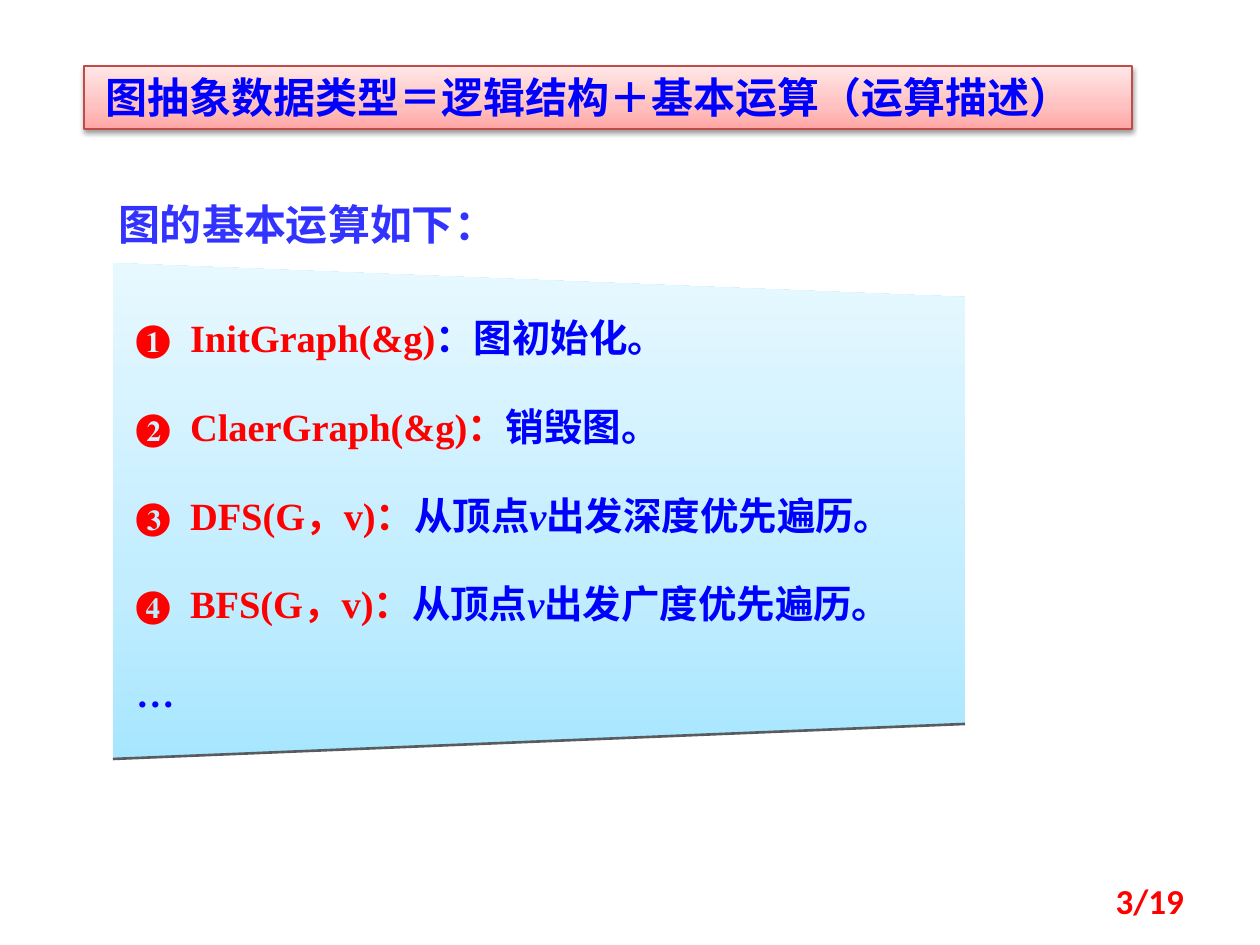
"""Build the slide on the basic operations of the graph abstract data type."""
from dataclasses import dataclass

from lxml import etree
from pptx import Presentation
from pptx.dml.color import RGBColor
from pptx.enum.shapes import MSO_CONNECTOR, MSO_SHAPE
from pptx.enum.text import MSO_ANCHOR, PP_ALIGN
from pptx.oxml.ns import qn
from pptx.util import Emu, Pt

RECT = MSO_SHAPE.RECTANGLE
STRAIGHT = MSO_CONNECTOR.STRAIGHT
TOP, MIDDLE = MSO_ANCHOR.TOP, MSO_ANCHOR.MIDDLE
LEFT, RIGHT = PP_ALIGN.LEFT, PP_ALIGN.RIGHT
PX = 914400 / 126


@dataclass(frozen=True)
class Theme:
    blue: str = "0000FF"
    heading: str = "3333FF"
    red: str = "FF0000"
    border: str = "BF4C48"
    edge: str = "595C5E"
    shadow: str = "000000"
    pink: tuple = ((0, "FFA6A5"), (35, "FFC0BF"), (100, "FFE7E7"))
    sky: tuple = ((0, "A7E6FF"), (35, "C1EDFF"), (100, "E7F8FF"))
    serif: str = "Times New Roman"
    cjk: str = "Noto Sans CJK SC"
    sans: str = "Calibri"
    title_pt: int = 24
    body_pt: int = 22
    page_pt: int = 20


T = Theme()
TITLE = "图抽象数据类型＝逻辑结构＋基本运算（运算描述）"
HEADING = "图的基本运算如下："
PAGE = "3/19"
RED, BLUE = {"color": T.red}, {"color": T.blue}
VAR = {"color": T.blue, "italic": True}
OPERATIONS = [
    [("❶\tInitGraph(&g)", RED), ("：图初始化。", BLUE)],
    [("❷\tClaerGraph(&g)：", RED), ("销毁图。", BLUE)],
    [("❸\tDFS(G，v)：", RED), ("从顶点", BLUE), ("v", VAR), ("出发深度优先遍历。", BLUE)],
    [("❹\tBFS(G，v)：", RED), ("从顶点", BLUE), ("v", VAR), ("出发广度优先遍历。", BLUE)],
    [("…", BLUE)],
]
TITLE_BOX = (84, 66, 1048, 63)
HEADING_BOX = (105, 193, 536, 63)
PAGE_BOX = (903, 876, 294, 50)
PANEL = [(113, 263), (965, 297), (965, 724), (113, 759)]
HANGING = 54


def px(n):
    return Emu(round(n * PX))


def add_run(p, text, size=T.body_pt, color=T.blue, font=T.serif, italic=False):
    r = p.add_run()
    r.text = text
    r.font.size, r.font.name = Pt(size), font
    r.font.bold, r.font.italic = True, italic
    r.font.color.rgb = RGBColor.from_string(color)
    etree.SubElement(r.font._element, qn("a:ea"), typeface=T.cjk)


def set_frame(sp, left=13, top=6, anchor=TOP):
    tf = sp.text_frame
    tf.word_wrap = True
    tf.vertical_anchor = anchor
    tf.margin_left, tf.margin_top = px(left), px(top)
    tf.margin_right, tf.margin_bottom = px(13), px(6)
    return tf


def add_label(sp, text, left=13, anchor=TOP, align=LEFT, **fmt):
    p = set_frame(sp, left, anchor=anchor).paragraphs[0]
    p.alignment = align
    add_run(p, text, **fmt)


def set_gradient(sp, stops):
    sp.fill.gradient()
    sp.fill.gradient_angle = 90
    gs_list = sp._element.spPr.find(".//" + qn("a:gsLst"))
    for gs in list(gs_list):
        gs_list.remove(gs)
    for pos, color in stops:
        gs = etree.SubElement(gs_list, qn("a:gs"), pos=str(pos * 1000))
        etree.SubElement(gs, qn("a:srgbClr"), val=color)


def set_shadow(sp):
    sp.shadow.inherit = False
    effects = sp._element.spPr.find(qn("a:effectLst"))
    shadow = etree.SubElement(effects, qn("a:outerShdw"), blurRad="40000",
                              dist="20000", dir="5400000", rotWithShape="0")
    color = etree.SubElement(shadow, qn("a:srgbClr"), val=T.shadow)
    etree.SubElement(color, qn("a:alpha"), val="38000")


def add_title(s):
    sp = s.shapes.add_shape(RECT, *map(px, TITLE_BOX))
    set_gradient(sp, T.pink)
    sp.line.color.rgb = RGBColor.from_string(T.border)
    sp.line.width = Pt(0.75)
    set_shadow(sp)
    add_label(sp, TITLE, left=22, size=T.title_pt, font=T.cjk)


def add_panel(s):
    builder = s.shapes.build_freeform(*PANEL[0], scale=PX)
    builder.add_line_segments(PANEL[1:], close=True)
    sp = builder.convert_to_shape()
    set_gradient(sp, T.sky)
    sp.line.fill.background()
    sp.shadow.inherit = False
    tf = set_frame(sp, left=23, top=31)
    for i, runs in enumerate(OPERATIONS):
        p = tf.add_paragraph() if i else tf.paragraphs[0]
        p.alignment = LEFT
        p.line_spacing = Pt(38)
        p.space_before = Pt(12.6 if i else 0)
        pPr = p._p.get_or_add_pPr()
        pPr.set("marL", str(px(HANGING)))
        pPr.set("indent", str(-px(HANGING)))
        for text, fmt in runs:
            add_run(p, text, **fmt)


def add_panel_edge(s):
    (x1, y1), (x2, y2) = PANEL[3], PANEL[2]
    line = s.shapes.add_connector(STRAIGHT, px(x1), px(y1), px(x2), px(y2))
    line.line.color.rgb = RGBColor.from_string(T.edge)
    line.line.width = Pt(1.5)
    etree.SubElement(line._element.spPr, qn("a:effectLst"))


def main():
    prs = Presentation()
    prs.slide_width, prs.slide_height = px(1260), px(945)
    s = prs.slides.add_slide(prs.slide_layouts[6])
    add_title(s)
    add_label(s.shapes.add_textbox(*map(px, HEADING_BOX)), HEADING,
              size=T.title_pt, color=T.heading)
    add_panel(s)
    add_panel_edge(s)
    add_label(s.shapes.add_textbox(*map(px, PAGE_BOX)), PAGE, anchor=MIDDLE,
              align=RIGHT, size=T.page_pt, color=T.red, font=T.sans)
    prs.save("out.pptx")


if __name__ == "__main__":
    main()
